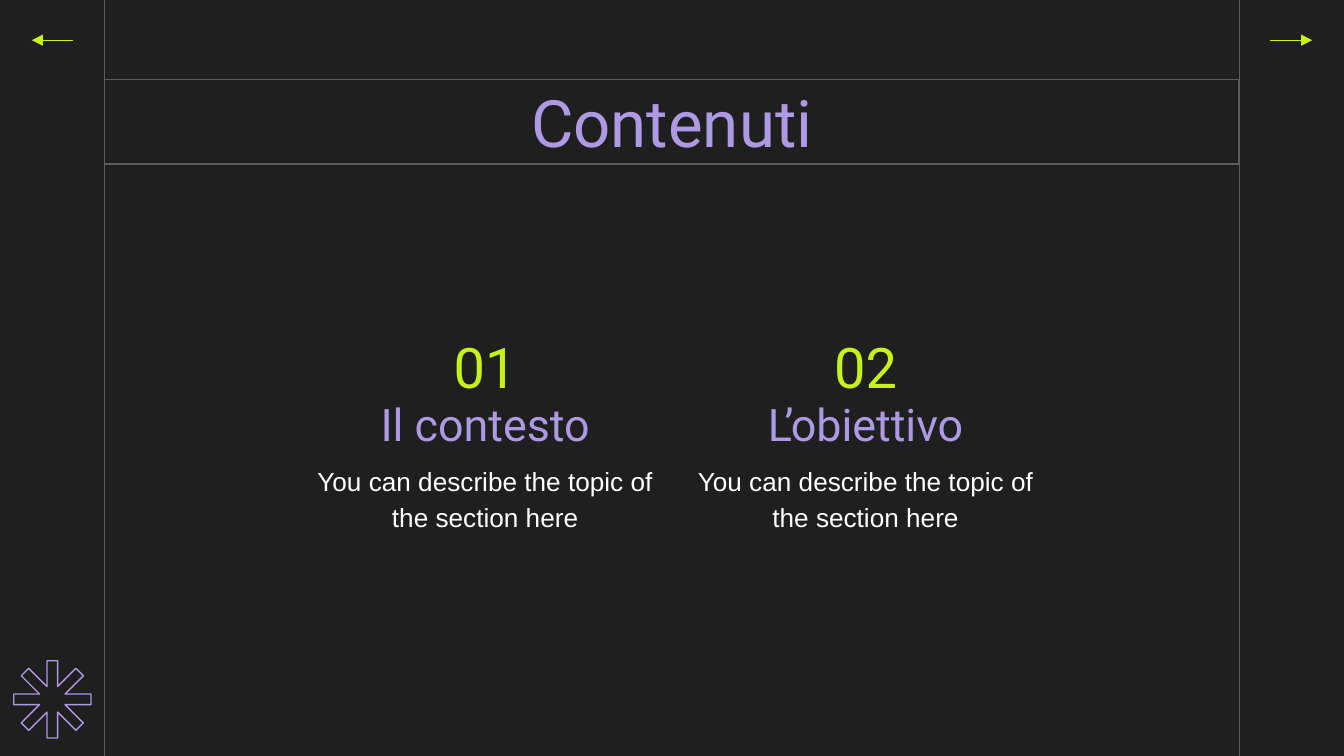
from math import cos, pi, sin

from lxml import etree
from pptx import Presentation
from pptx.dml.color import RGBColor
from pptx.enum import shapes, text
from pptx.oxml import ns
from pptx.util import Cm, Pt

DARK = RGBColor(0x1F, 0x1F, 0x1F)
GREY = RGBColor(0x5C, 0x5C, 0x5C)
PURPLE = RGBColor(0xAD, 0x99, 0xE4)
LIME = RGBColor(0xC8, 0xF1, 0x19)
WHITE = RGBColor(0xFF, 0xFF, 0xFF)

TITLE = "Contenuti"
SECTIONS = [
    ("01", "Il contesto", "You can describe the topic of the section here"),
    ("02", "L’obiettivo", "You can describe the topic of the section here"),
]

# Lengths in centimetres
WIDTH, HEIGHT = 25.4, 14.29
MARGIN = 1.98
COLUMN_LEFT, COLUMN_WIDTH, COLUMN_GAP = 5.64, 7.06, 0.13
TITLE_BOX = (MARGIN, 1.5, WIDTH - 2 * MARGIN, 1.6)
ARROW_Y, ARROW_OUTER, ARROW_INNER = 0.76, 0.6, 1.39
STAR_CENTRE, STAR_ARMS, ARM_LENGTH, ARM_HALF_WIDTH = (0.99, 13.22), 8, 0.73, 0.1

MIDDLE, BOTTOM, TOP = (text.MSO_ANCHOR.MIDDLE, text.MSO_ANCHOR.BOTTOM,
                       text.MSO_ANCHOR.TOP)
TITLE_FONT = {"name": "Roboto", "size": Pt(35), "color": PURPLE}
# Top, height, anchor, line spacing and font of each row in a section
ROWS = [
    (6.38, 1.07, MIDDLE, 1.0, {"name": "Roboto", "size": Pt(30), "color": LIME}),
    (7.7, 1.07, BOTTOM, 1.0, {"name": "Roboto", "size": Pt(24), "color": PURPLE}),
    (8.46, 1.73, TOP, 1.15, {"name": "Arial", "size": Pt(14), "color": WHITE}),
]


def set_line(shape, color):
    """Give a shape the thin outline used on the whole slide."""
    shape.line.color.rgb = color
    shape.line.width = Pt(0.75)


def write(shape, words, anchor, spacing, font):
    """Write one centred paragraph into a shape."""
    frame = shape.text_frame
    settings = {"word_wrap": True, "vertical_anchor": anchor,
                "margin_left": Cm(0.25), "margin_right": Cm(0.25),
                "margin_top": Cm(0.25), "margin_bottom": Cm(0.25)}
    for name, value in settings.items():
        setattr(frame, name, value)
    paragraph = frame.paragraphs[0]
    paragraph.alignment = text.PP_ALIGN.CENTER
    paragraph.line_spacing = spacing
    run = paragraph.add_run()
    run.text = words
    for name, value in font.items():
        if name == "color":
            run.font.color.rgb = value
        else:
            setattr(run.font, name, value)


def add_line(slide, start, end, color, arrow=False):
    """Draw a straight line, with an arrowhead at its end if wanted."""
    line = slide.shapes.add_connector(
        shapes.MSO_CONNECTOR.STRAIGHT, *(Cm(value) for value in start + end))
    set_line(line, color)
    if arrow:
        etree.SubElement(line.line._get_or_add_ln(), ns.qn("a:tailEnd"),
                         type="triangle")
    etree.SubElement(line._element.spPr, ns.qn("a:effectLst"))


def add_star(slide):
    """Draw the outlined star from equal arms around its centre."""
    step = 2 * pi / STAR_ARMS
    notch = ARM_HALF_WIDTH / sin(step / 2)
    points = []
    for arm in range(STAR_ARMS):
        angle = arm * step
        x, y = cos(angle), sin(angle)
        for side in (-ARM_HALF_WIDTH, ARM_HALF_WIDTH):
            points.append((ARM_LENGTH * x - side * y, ARM_LENGTH * y + side * x))
        angle += step / 2
        points.append((notch * cos(angle), notch * sin(angle)))
    points = [(Cm(STAR_CENTRE[0] + x), Cm(STAR_CENTRE[1] + y)) for x, y in points]
    builder = slide.shapes.build_freeform(*points[0])
    builder.add_line_segments(points[1:], close=True)
    star = builder.convert_to_shape()
    star.shadow.inherit = False
    star.fill.solid()
    star.fill.fore_color.rgb = DARK
    set_line(star, PURPLE)


def add_title(slide):
    """Draw the framed title."""
    box = slide.shapes.add_shape(
        shapes.MSO_SHAPE.RECTANGLE, *(Cm(value) for value in TITLE_BOX))
    box.shadow.inherit = False
    box.fill.background()
    set_line(box, GREY)
    write(box, TITLE, MIDDLE, 1.0, TITLE_FONT)


def add_sections(slide):
    """Lay the sections out as equal columns."""
    for column, section in enumerate(SECTIONS):
        left = COLUMN_LEFT + column * (COLUMN_WIDTH + COLUMN_GAP)
        for words, (top, height, anchor, spacing, font) in zip(section, ROWS):
            box = slide.shapes.add_textbox(
                Cm(left), Cm(top), Cm(COLUMN_WIDTH), Cm(height))
            write(box, words, anchor, spacing, font)


def main():
    """Build and save the slide."""
    presentation = Presentation()
    presentation.slide_width, presentation.slide_height = Cm(WIDTH), Cm(HEIGHT)
    slide = presentation.slides.add_slide(presentation.slide_layouts[6])
    slide.background.fill.solid()
    slide.background.fill.fore_color.rgb = DARK
    for x in (MARGIN, WIDTH - MARGIN):
        add_line(slide, (x, 0), (x, HEIGHT), GREY)
    add_star(slide)
    add_title(slide)
    add_sections(slide)
    for inner, outer in ((ARROW_INNER, ARROW_OUTER),
                         (WIDTH - ARROW_INNER, WIDTH - ARROW_OUTER)):
        add_line(slide, (inner, ARROW_Y), (outer, ARROW_Y), LIME, arrow=True)
    presentation.save("out.pptx")


main()
